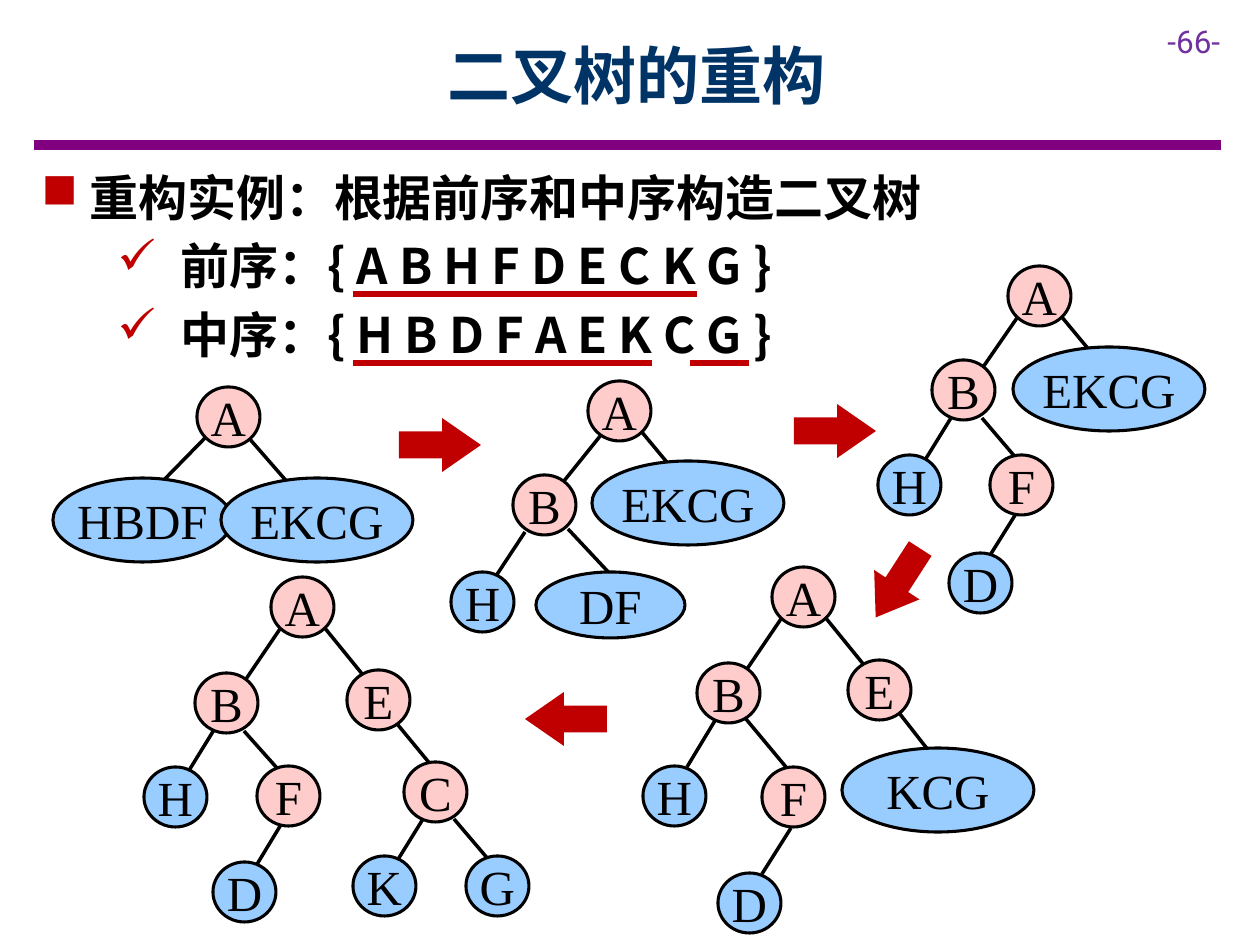
from lxml import etree
from pptx import Presentation
from pptx.dml.color import RGBColor
from pptx.enum.shapes import MSO_CONNECTOR, MSO_SHAPE
from pptx.enum.text import MSO_ANCHOR, PP_ALIGN
from pptx.oxml.ns import qn
from pptx.util import Pt

PX = 914400 / 126
STRAIGHT = MSO_CONNECTOR.STRAIGHT
ELLIPSE, ARROW = MSO_SHAPE.OVAL, MSO_SHAPE.RIGHT_ARROW
MIDDLE, CENTER = MSO_ANCHOR.MIDDLE, PP_ALIGN.CENTER
CJK, SERIF, SANS = "Noto Sans CJK SC", "Times New Roman", "Roboto"
COLORS = {
    "black": "000000", "title": "003366", "rule": "800080", "number": "7030A0",
    "red": "C00000", "inner": "FFCCCC", "leaf": "99CCFF",
}
CIRCLE, DEEP_OVAL = (63, 60), (192, 84)
OVALS = {"HBDF": (179, 84), "EKCG": DEEP_OVAL, "KCG": DEEP_OVAL, "DF": (149, 66)}

# Each tree: inner nodes and leaves as (label, left, top), edges as (x1, y1, x2, y2)
TREES = [
    {"inner": [("A", 197, 387)],
     "leaf": [("HBDF", 53, 478), ("EKCG", 221, 478)],
     "edges": [(248, 437, 289, 484), (205, 438, 160, 484)]},
    {"inner": [("A", 588, 381), ("B", 513, 475)],
     "leaf": [("DF", 536, 572), ("EKCG", 592, 461), ("H", 451, 572)],
     "edges": [(641, 431, 680, 478), (601, 435, 564, 481),
               (568, 529, 612, 576), (525, 532, 496, 576)]},
    {"inner": [("A", 1008, 266), ("B", 932, 360), ("F", 990, 455)],
     "leaf": [("EKCG", 1013, 347), ("H", 878, 455), ("D", 949, 553)],
     "edges": [(1061, 316, 1100, 363), (1017, 318, 979, 373), (982, 418, 1022, 465),
               (951, 418, 922, 465), (1019, 509, 989, 557)]},
    {"inner": [("A", 772, 567), ("B", 697, 663), ("F", 762, 767), ("E", 848, 660)],
     "leaf": [("H", 643, 766), ("D", 718, 873), ("KCG", 842, 748)],
     "edges": [(825, 617, 864, 665), (781, 619, 743, 675), (746, 719, 786, 767),
               (716, 719, 687, 767), (791, 828, 762, 874), (900, 714, 932, 755)]},
    {"inner": [("A", 271, 577), ("B", 195, 673), ("E", 347, 670),
               ("F", 257, 766), ("C", 404, 762)],
     "leaf": [("H", 144, 767), ("D", 213, 862), ("K", 353, 856), ("G", 466, 856)],
     "edges": [(324, 627, 363, 675), (280, 629, 242, 685), (244, 731, 285, 777),
               (214, 730, 185, 777), (285, 818, 256, 866), (398, 725, 431, 765),
               (454, 819, 494, 866), (423, 819, 394, 866)]},
]
ARROWS = [(399, 418, 0), (794, 404, 0), (857, 556, 122.9), (525, 692, 180)]

# Left ends of the strokes under visited letters, by the height of the row
STROKES = {294: [353, 401, 447, 495, 544, 592, 638],
           363: [353, 404, 456, 494, 551, 593, 690]}
STROKE_WIDTH = 59


def px(*lengths):
    return [round(length * PX) for length in lengths]


def rgb(name):
    return RGBColor.from_string(COLORS[name])


def set_font(para, family, size, color, bold=False):
    font = para.font
    font.name, font.size, font.bold = family, Pt(size), bold
    font.color.rgb = rgb(color)
    if family == CJK:
        latin = font._element.find(qn("a:latin"))
        east_asian = etree.Element(qn("a:ea"), typeface=family)
        latin.addnext(east_asian)


def add_bullet(para, char, indent):
    properties = para._p.get_or_add_pPr()
    properties.set("marL", str(px(indent)[0]))
    properties.set("indent", str(px(-indent)[0]))
    color = etree.SubElement(properties, qn("a:buClr"))
    etree.SubElement(color, qn("a:srgbClr"), val=COLORS["red"])
    etree.SubElement(properties, qn("a:buChar"), char=char)
    para.space_after = Pt(6)


def add_text(slide, bounds, lines, family, size, color, bold=False, bullet=None):
    box = slide.shapes.add_textbox(*px(*bounds))
    frame = box.text_frame
    frame.word_wrap = True
    frame.text = "\n".join(lines)
    for para in frame.paragraphs:
        if bullet:
            add_bullet(para, *bullet)
        set_font(para, family, size, color, bold)
    return frame


def add_line(shapes, ends, color, width):
    line = shapes.add_connector(STRAIGHT, *px(*ends))
    line.line.color.rgb = rgb(color)
    line.line.width = Pt(width)
    etree.SubElement(line._element.spPr, qn("a:effectLst"))


def add_node(shapes, label, left, top, fill):
    node = shapes.add_shape(ELLIPSE, *px(left, top, *OVALS.get(label, CIRCLE)))
    node.shadow.inherit = False
    node.fill.solid()
    node.fill.fore_color.rgb = rgb(fill)
    node.line.color.rgb = rgb("black")
    node.line.width = Pt(1.75)
    frame = node.text_frame
    frame.word_wrap = False
    frame.vertical_anchor = MIDDLE
    para = frame.paragraphs[0]
    para.text = label
    para.alignment = CENTER
    set_font(para, SERIF, 28, "black")


def add_tree(slide, tree):
    shapes = slide.shapes.add_group_shape().shapes
    for ends in tree["edges"]:
        add_line(shapes, ends, "black", 2)
    for kind in ("leaf", "inner"):
        for label, left, top in tree[kind]:
            add_node(shapes, label, left, top, kind)


def add_arrow(slide, left, top, angle):
    arrow = slide.shapes.add_shape(ARROW, *px(left, top, 82, 54))
    arrow.adjustments[1] = 0.72
    arrow.rotation = angle
    arrow.shadow.inherit = False
    arrow.fill.solid()
    arrow.fill.fore_color.rgb = rgb("red")
    arrow.line.fill.background()


def main():
    deck = Presentation()
    deck.slide_width, deck.slide_height = px(1260, 945)
    slide = deck.slides.add_slide(deck.slide_layouts[6])

    # Header
    add_line(slide.shapes, (34, 145, 1221, 145), "rule", 6)
    add_text(slide, (1155, 16, 105, 50), ["-66-"], SANS, 18, "number")
    title = add_text(slide, (113, 11, 1047, 126), ["二叉树的重构"], CJK, 36, "title", True)
    title.vertical_anchor = MIDDLE
    title.paragraphs[0].alignment = CENTER

    # Traversals and their underlines
    add_text(slide, (29, 161, 1171, 72), ["重构实例：根据前序和中序构造二叉树"],
             CJK, 28, "black", True, ("■", 48))
    add_text(slide, (105, 229, 861, 142),
             ["前序：{ A B H F D E C K G }", "中序：{ H B D F A E K C G }"],
             CJK, 28, "black", True, ("✓", 63))
    for top, lefts in STROKES.items():
        for left in lefts:
            add_line(slide.shapes, (left, top, left + STROKE_WIDTH, top), "red", 3)

    # Steps of the reconstruction
    for tree in TREES:
        add_tree(slide, tree)
    for arrow in ARROWS:
        add_arrow(slide, *arrow)

    deck.save("out.pptx")


if __name__ == "__main__":
    main()
